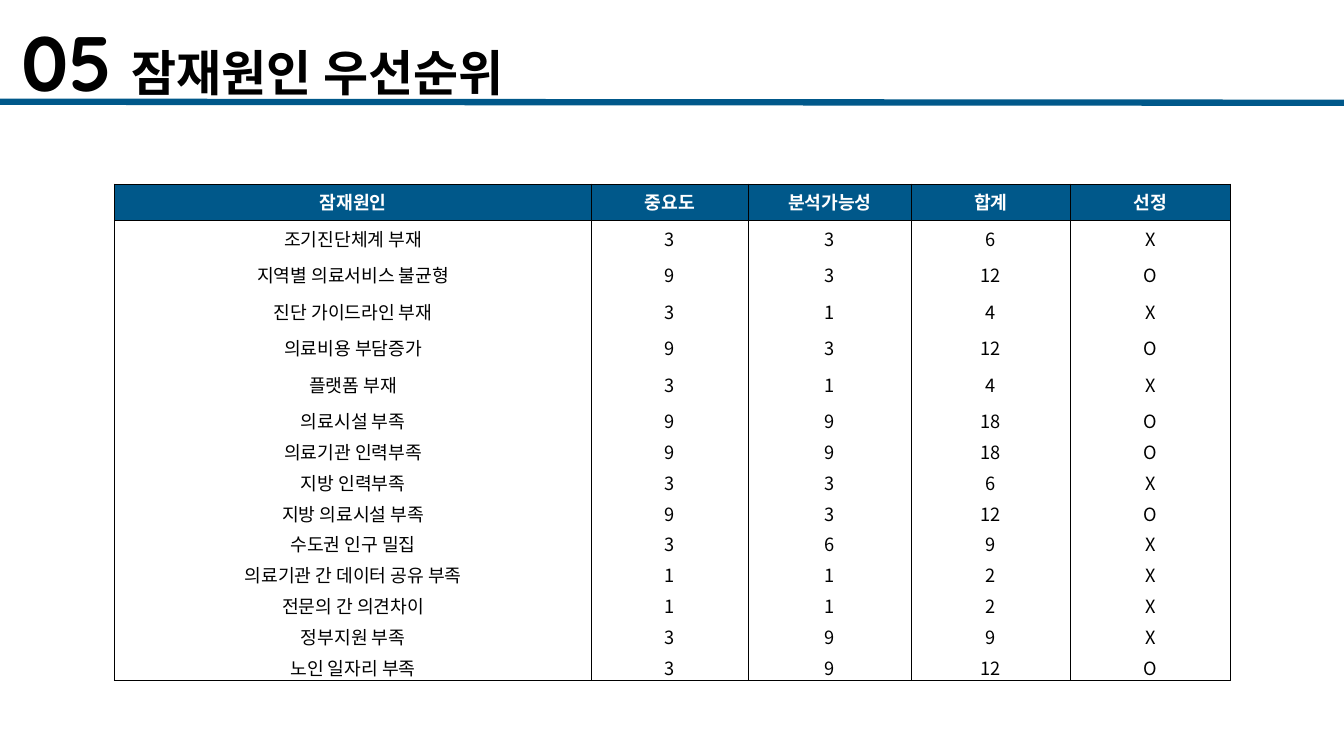
from lxml.etree import SubElement
from pptx import Presentation
from pptx.dml.color import RGBColor
from pptx.enum.shapes import MSO_CONNECTOR as Connector
from pptx.enum.text import MSO_ANCHOR as Anchor, PP_ALIGN as Align
from pptx.oxml.ns import qn
from pptx.util import Pt

CAUSES = [
    ("조기진단체계 부재", 3, 3, 6, "X"),
    ("지역별 의료서비스 불균형", 9, 3, 12, "O"),
    ("진단 가이드라인 부재", 3, 1, 4, "X"),
    ("의료비용 부담증가", 9, 3, 12, "O"),
    ("플랫폼 부재", 3, 1, 4, "X"),
    ("의료시설 부족", 9, 9, 18, "O"),
    ("의료기관 인력부족", 9, 9, 18, "O"),
    ("지방 인력부족", 3, 3, 6, "X"),
    ("지방 의료시설 부족", 9, 3, 12, "O"),
    ("수도권 인구 밀집", 3, 6, 9, "X"),
    ("의료기관 간 데이터 공유 부족", 1, 1, 2, "X"),
    ("전문의 간 의견차이", 1, 1, 2, "X"),
    ("정부지원 부족", 3, 9, 9, "X"),
    ("노인 일자리 부족", 3, 9, 12, "O"),
]
HEADINGS = ("잠재원인", "중요도", "분석가능성", "합계", "선정")
COLUMN_WIDTHS = (340.7, 112.1, 116.4, 113.6, 114.3)
ROW_HEIGHTS = [26.1] * 6 + [21.6] * 9


def color(value):
    return RGBColor.from_string(value)


class SlideBuilder:
    accent, ink, paper = "00588A", "000000", "FFFFFF"
    body_face, title_face = "Noto Sans CJK KR", "Quicksand"

    def __init__(self, slide):
        self.slide = slide

    def style(self, paragraph, face, tone, bold):
        font = paragraph.font
        font.name, font.bold = face, bold
        font.color.rgb = color(tone)
        korean = SubElement(font._rPr, qn("a:ea"))
        korean.set("typeface", self.body_face)
        return font

    def rule(self, x1, y1, x2, y2, weight):
        divider = self.slide.shapes.add_connector(
            Connector.STRAIGHT, Pt(x1), Pt(y1), Pt(x2), Pt(y2))
        divider.line.color.rgb = color(self.accent)
        divider.line.width = Pt(weight)
        SubElement(divider._element.spPr, qn("a:effectLst"))

    def title(self, left, top, width, height, parts):
        frame = self.slide.shapes.add_textbox(
            Pt(left), Pt(top), Pt(width), Pt(height)).text_frame
        frame.word_wrap = True
        frame.vertical_anchor = Anchor.MIDDLE
        frame.margin_left = frame.margin_right = Pt(9.6)
        frame.margin_top = frame.margin_bottom = Pt(4.8)
        heading = frame.paragraphs[0]
        self.style(heading, self.title_face, self.ink, True)
        for wording, size in parts:
            run = heading.add_run()
            run.text = wording
            run.font.size = Pt(size)

    def border(self, cell, side, visible):
        edge = SubElement(cell._tc.get_or_add_tcPr(), qn(f"a:ln{side}"), w=str(Pt(1)))
        if visible:
            fill = SubElement(edge, qn("a:solidFill"))
            SubElement(fill, qn("a:srgbClr"), val=self.ink)
        else:
            SubElement(edge, qn("a:noFill"))

    def cell(self, cell, wording, is_header, visible_sides):
        cell.text = str(wording)
        cell.margin_left = cell.margin_right = Pt(6.5)
        cell.margin_top = cell.margin_bottom = Pt(3.2)
        for side in "LRTB":
            self.border(cell, side, side in visible_sides)
        cell.fill.solid()
        cell.fill.fore_color.rgb = color(self.accent if is_header else self.paper)
        entry = cell.text_frame.paragraphs[0]
        entry.alignment = Align.CENTER
        tone = self.paper if is_header else self.ink
        self.style(entry, self.body_face, tone, is_header).size = Pt(13)

    def table(self, left, top, widths, heights, rows):
        grid = self.slide.shapes.add_table(
            len(rows), len(widths), Pt(left), Pt(top),
            Pt(sum(widths)), Pt(sum(heights))).table
        grid.first_row = grid.horz_banding = False
        for column, width in zip(grid.columns, widths):
            column.width = Pt(width)
        for index, (row, height, values) in enumerate(zip(grid.rows, heights, rows)):
            row.height = Pt(height)
            sides = "LR"
            if index <= 1:
                sides += "T"
            if index in (0, len(rows) - 1):
                sides += "B"
            for cell, wording in zip(row.cells, values):
                self.cell(cell, wording, index == 0, sides)


def main():
    deck = Presentation()
    deck.slide_width, deck.slide_height = Pt(960), Pt(540)
    builder = SlideBuilder(deck.slides.add_slide(deck.slide_layouts[6]))
    builder.rule(0, 72.7, 960, 73.4, 4.5)
    builder.title(5.8, 14.4, 702.7, 58.3,
                  [("05", 55), (" ", 46.7), ("잠재원인 우선순위", 35)])
    builder.table(81.8, 131.6, COLUMN_WIDTHS, ROW_HEIGHTS, [HEADINGS, *CAUSES])
    deck.save("out.pptx")


if __name__ == "__main__":
    main()
